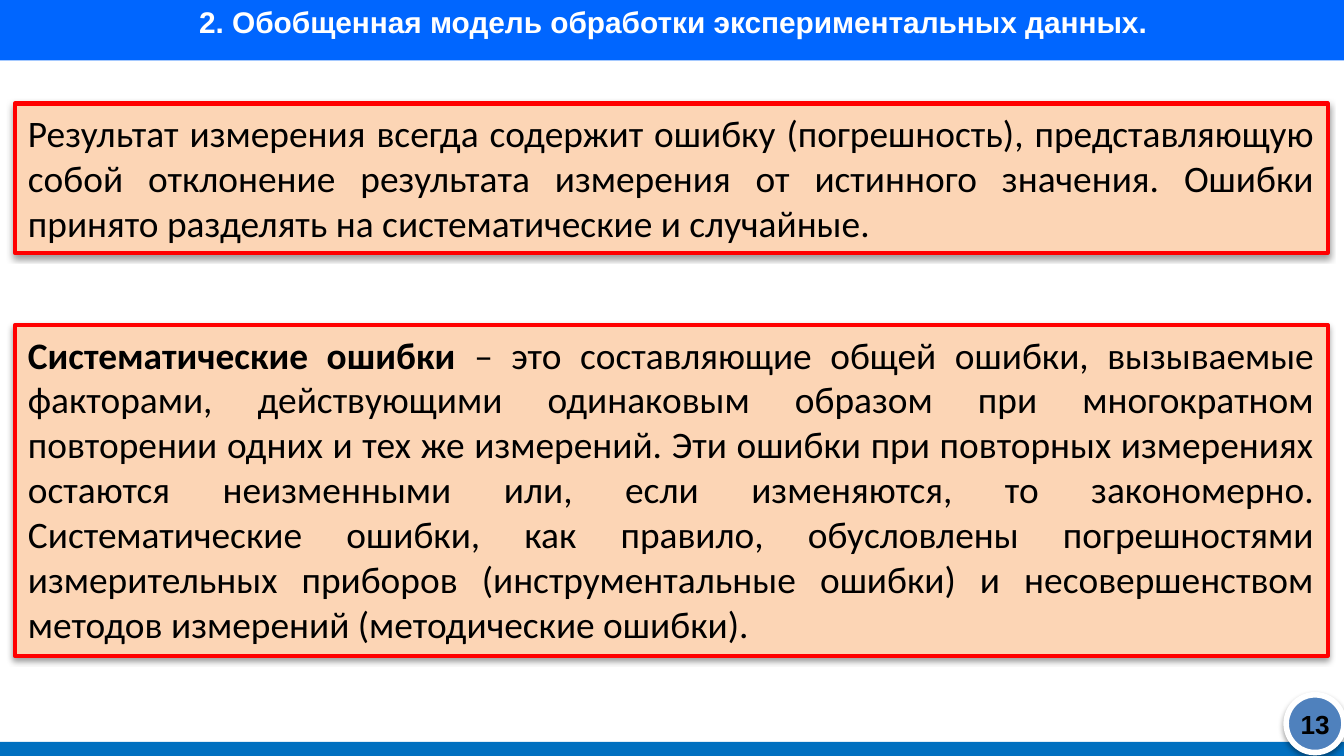
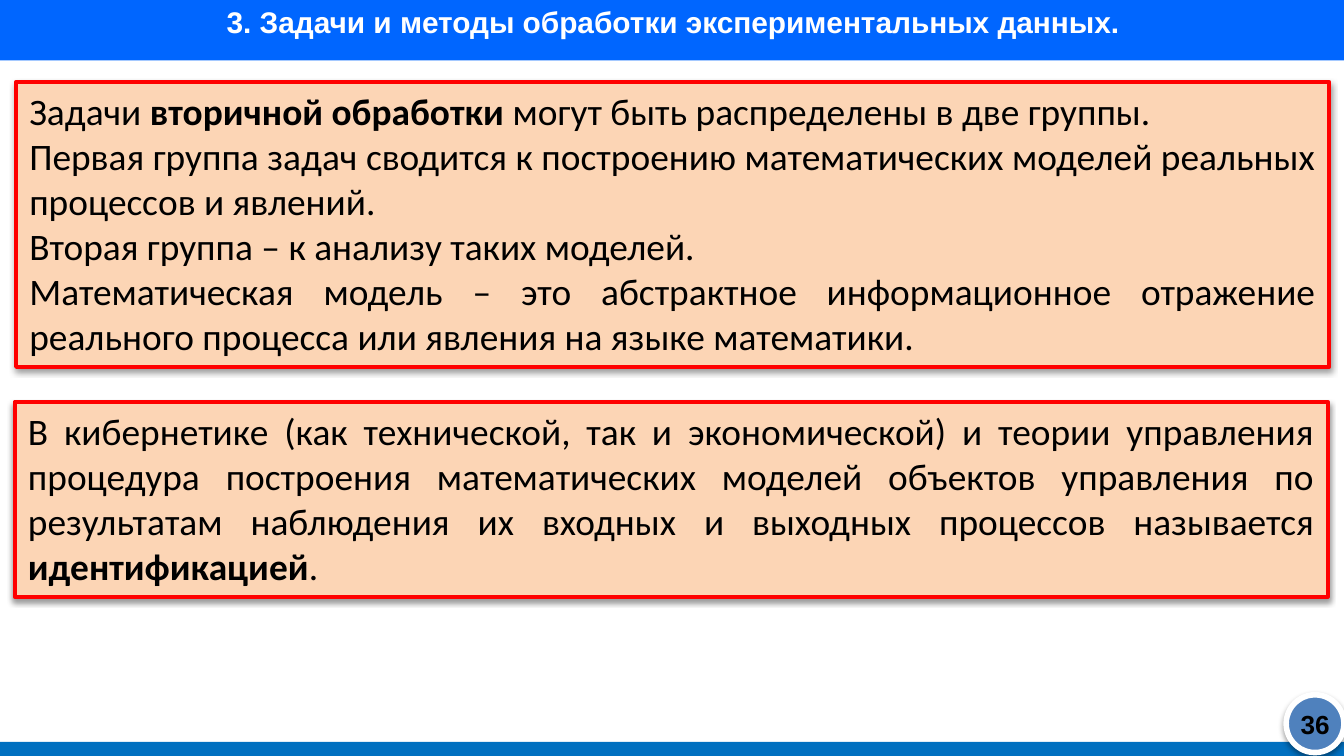
from dataclasses import dataclass

from lxml.etree import SubElement
from pptx import Presentation
from pptx.dml.color import RGBColor
from pptx.enum.shapes import MSO_SHAPE
from pptx.enum.text import MSO_ANCHOR, MSO_AUTO_SIZE, PP_ALIGN
from pptx.oxml.ns import qn
from pptx.util import Inches, Pt


@dataclass(frozen=True)
class Theme:
    """Colours, fonts and type sizes of the deck."""
    header: str = "0066FF"
    footer: str = "0070C0"
    badge: str = "4F81BD"
    panel: str = "FCD5B5"
    border: str = "FF0000"
    light: str = "FFFFFF"
    dark: str = "000000"
    heading_font: str = "Arial"
    body_font: str = "Calibri"
    title_size: int = 16
    body_size: int = 20
    number_size: int = 14


class Deck:
    """Holds the theme and the current slide and draws each kind of element."""

    def __init__(self, theme):
        """Start an empty 16:9 presentation."""
        self.theme = theme
        self.prs = Presentation()
        self.prs.slide_width = Inches(10)
        self.prs.slide_height = Inches(10) * 9 // 16
        self.s = None

    def add_slide(self, title, number):
        """Add a slide with header band, title, footer band and page badge."""
        t = self.theme
        self.s = self.prs.slides.add_slide(self.prs.slide_layouts[6])
        self.shape(MSO_SHAPE.RECTANGLE, (0, 0, 10, 0.45), t.header)
        self.label(title, (0.77, -0.02, 8.48, 0.47), t.title_size, t.light)
        self.shape(MSO_SHAPE.RECTANGLE, (0, 5.52, 10, 0.11), t.footer)
        badge = self.shape(MSO_SHAPE.OVAL, (9.57, 5.17, 0.43, 0.43), t.badge, t.light, 3)
        self.shadow(badge)
        tf = self.label(str(number), (9.57, 5.24, 0.43, 0.3), t.number_size, t.dark)
        tf.vertical_anchor = MSO_ANCHOR.MIDDLE
        tf.margin_left = tf.margin_right = 0

    def shape(self, kind, box, fill, line=None, width=0):
        """Draw a filled preset shape with an optional outline."""
        sp = self.s.shapes.add_shape(kind, *map(Inches, box))
        sp.fill.solid()
        sp.fill.fore_color.rgb = RGBColor.from_string(fill)
        if line:
            sp.line.color.rgb = RGBColor.from_string(line)
            sp.line.width = Pt(width)
        else:
            sp.line.fill.background()
        sp.shadow.inherit = False
        return sp

    def shadow(self, sp):
        """Give a shape a soft shadow straight below it."""
        effects = sp._element.spPr.find(qn("a:effectLst"))
        outer = SubElement(effects, qn("a:outerShdw"), blurRad=str(Pt(3.1)),
                           dist=str(Pt(1.6)), dir="5400000", rotWithShape="0")
        color = SubElement(outer, qn("a:srgbClr"), val=self.theme.dark)
        SubElement(color, qn("a:alpha"), val="38000")

    def style(self, p, align, font, size, color, bold=None):
        """Set the alignment and font of a paragraph."""
        p.alignment = align
        p.font.name = font
        p.font.size = Pt(size)
        p.font.bold = bold
        p.font.color.rgb = RGBColor.from_string(color)

    def label(self, text, box, size, color):
        """Write one centred bold line in a text box."""
        tf = self.s.shapes.add_textbox(*map(Inches, box)).text_frame
        tf.word_wrap = True
        p = tf.paragraphs[0]
        p.text = text
        self.style(p, PP_ALIGN.CENTER, self.theme.heading_font, size, color, True)
        return tf

    def panel(self, left, top, height, *paragraphs):
        """Draw a bordered panel of justified text; ** marks bold words."""
        t = self.theme
        sp = self.shape(MSO_SHAPE.RECTANGLE, (left, top, 9.77, height),
                        t.panel, t.border, 2.25)
        self.shadow(sp)
        tf = sp.text_frame
        tf.word_wrap = True
        tf.auto_size = MSO_AUTO_SIZE.SHAPE_TO_FIT_TEXT
        tf.vertical_anchor = MSO_ANCHOR.TOP
        for i, text in enumerate(paragraphs):
            p = tf.add_paragraph() if i else tf.paragraphs[0]
            self.style(p, PP_ALIGN.JUSTIFY, t.body_font, t.body_size, t.dark)
            for j, part in enumerate(text.split("**")):
                if part:
                    r = p.add_run()
                    r.text = part
                    if j % 2:
                        r.font.bold = True


def main():
    """Build both slides and save them."""
    deck = Deck(Theme())

    deck.add_slide("2. Обобщенная модель обработки экспериментальных данных.", 13)
    deck.panel(
        0.11, 0.77, 1.11,
        "Результат измерения всегда содержит ошибку (погрешность), представляющую "
        "собой отклонение результата измерения от истинного значения. Ошибки "
        "принято разделять на систематические и случайные.")
    deck.panel(
        0.11, 2.42, 2.46,
        "**Систематические ошибки **– это составляющие общей ошибки, вызываемые "
        "факторами, действующими одинаковым образом при многократном повторении "
        "одних и тех же измерений. Эти ошибки при повторных измерениях остаются "
        "неизменными или, если изменяются, то закономерно. Систематические ошибки, "
        "как правило, обусловлены погрешностями измерительных приборов "
        "(инструментальные ошибки) и несовершенством методов измерений "
        "(методические ошибки).")

    deck.add_slide("3. Задачи и методы обработки экспериментальных данных.", 36)
    deck.panel(
        0.12, 0.61, 2.12,
        "Задачи **вторичной обработки **могут быть распределены в две группы.",
        "Первая группа задач сводится к построению математических моделей реальных "
        "процессов и явлений.",
        "Вторая группа – к анализу таких моделей.",
        "Математическая модель – это абстрактное информационное отражение реального "
        "процесса или явления на языке математики.")
    deck.panel(
        0.11, 2.99, 1.45,
        "В кибернетике (как технической, так и экономической) и теории управления "
        "процедура построения математических моделей объектов управления по "
        "результатам наблюдения их входных и выходных процессов называется "
        "**идентификацией**.")

    deck.prs.save("out.pptx")


if __name__ == "__main__":
    main()
